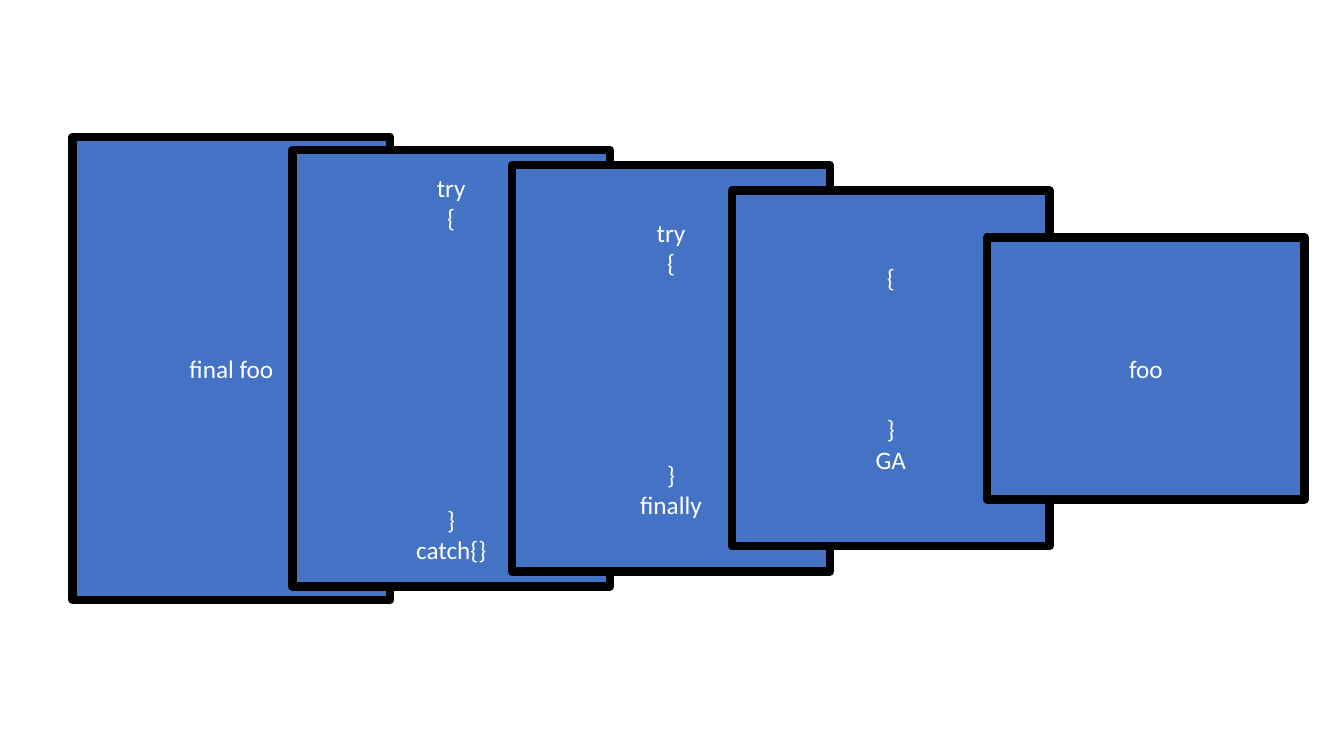
from dataclasses import dataclass

from pptx import Presentation
from pptx.dml.color import RGBColor
from pptx.enum.shapes import MSO_SHAPE as Shape
from pptx.enum.text import MSO_ANCHOR as Anchor, PP_ALIGN as Align
from pptx.util import Inches, Pt


@dataclass(frozen=True)
class Theme:
    fill: RGBColor = RGBColor(0x44, 0x72, 0xC4)
    border: RGBColor = RGBColor(0, 0, 0)
    text: RGBColor = RGBColor(0xFF, 0xFF, 0xFF)
    font: str = "Calibri"
    size: float = 18
    line_height: float = 21.6
    border_width: float = 6


def write(paragraph, text, *, font, size, color, gap=0):
    """Write one centred line, with an optional gap above it in points."""
    paragraph.alignment = Align.CENTER
    if gap:
        paragraph.space_before = Pt(gap)
    run = paragraph.add_run()
    run.text = text
    run.font.name = font
    run.font.size = Pt(size)
    run.font.color.rgb = color


class LayerSlide:
    def __init__(self, slide, theme):
        self.slide = slide
        self.theme = theme

    def layer(self, left, top, width, height, opening, closing=(), body_lines=0):
        """Draw a block whose closing lines sit body_lines below its opening."""
        theme = self.theme
        block = self.slide.shapes.add_shape(
            Shape.RECTANGLE, Inches(left), Inches(top), Inches(width), Inches(height))
        block.shadow.inherit = False
        block.fill.solid()
        block.fill.fore_color.rgb = theme.fill
        block.line.color.rgb = theme.border
        block.line.width = Pt(theme.border_width)

        frame = block.text_frame
        frame.word_wrap = True
        frame.vertical_anchor = Anchor.MIDDLE
        for index, text in enumerate((*opening, *closing)):
            paragraph = frame.add_paragraph() if index else frame.paragraphs[0]
            gap = body_lines * theme.line_height if index == len(opening) else 0
            write(paragraph, text, font=theme.font, size=theme.size,
                  color=theme.text, gap=gap)


LAYER_WIDTH = 3.15
MIDDLE = 3.655
FIRST_LEFT, STEP = 0.72, 2.18
INNER_LEFT = 9.79

# Wrapping layers, outermost first: height, opening, closing, body lines
WRAPPERS = [
    (4.59, ["final foo"], [], 0),
    (4.33, ["try", "{"], ["}", "catch{}"], 9),
    (4.03, ["try", "{"], ["}", "finally"], 6),
    (3.53, ["{"], ["}", "GA"], 4),
]


def main():
    deck = Presentation()
    deck.slide_width, deck.slide_height = Inches(13.33), Inches(7.5)
    page = LayerSlide(deck.slides.add_slide(deck.slide_layouts[6]), Theme())

    # Evenly stepped wrappers
    for index, (height, opening, closing, body_lines) in enumerate(WRAPPERS):
        page.layer(FIRST_LEFT + index * STEP, MIDDLE - height / 2,
                   LAYER_WIDTH, height, opening, closing, body_lines)

    # Innermost function
    inner_height = 2.6
    page.layer(INNER_LEFT, MIDDLE - inner_height / 2,
               LAYER_WIDTH, inner_height, ["foo"])

    deck.save("out.pptx")


if __name__ == "__main__":
    main()
